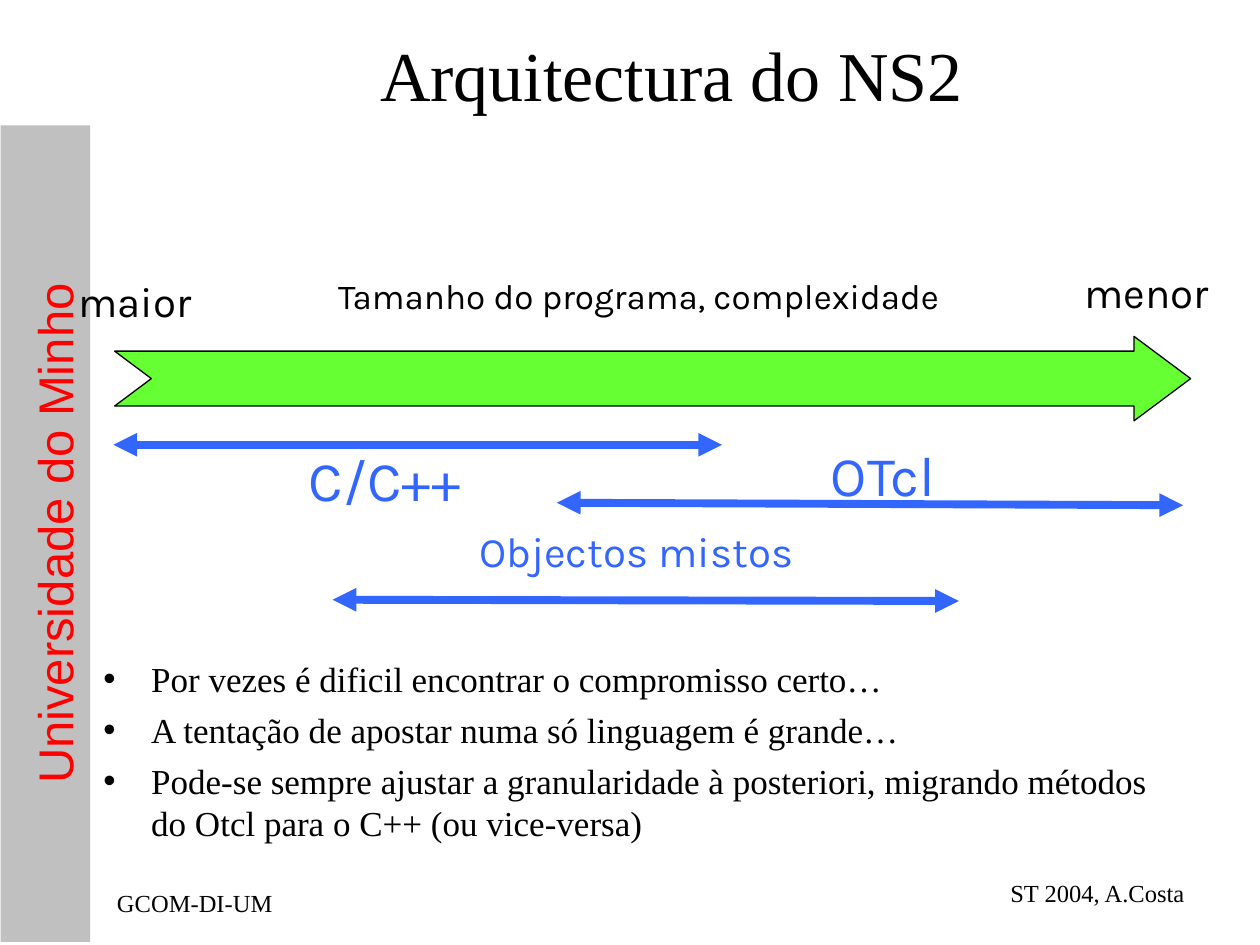
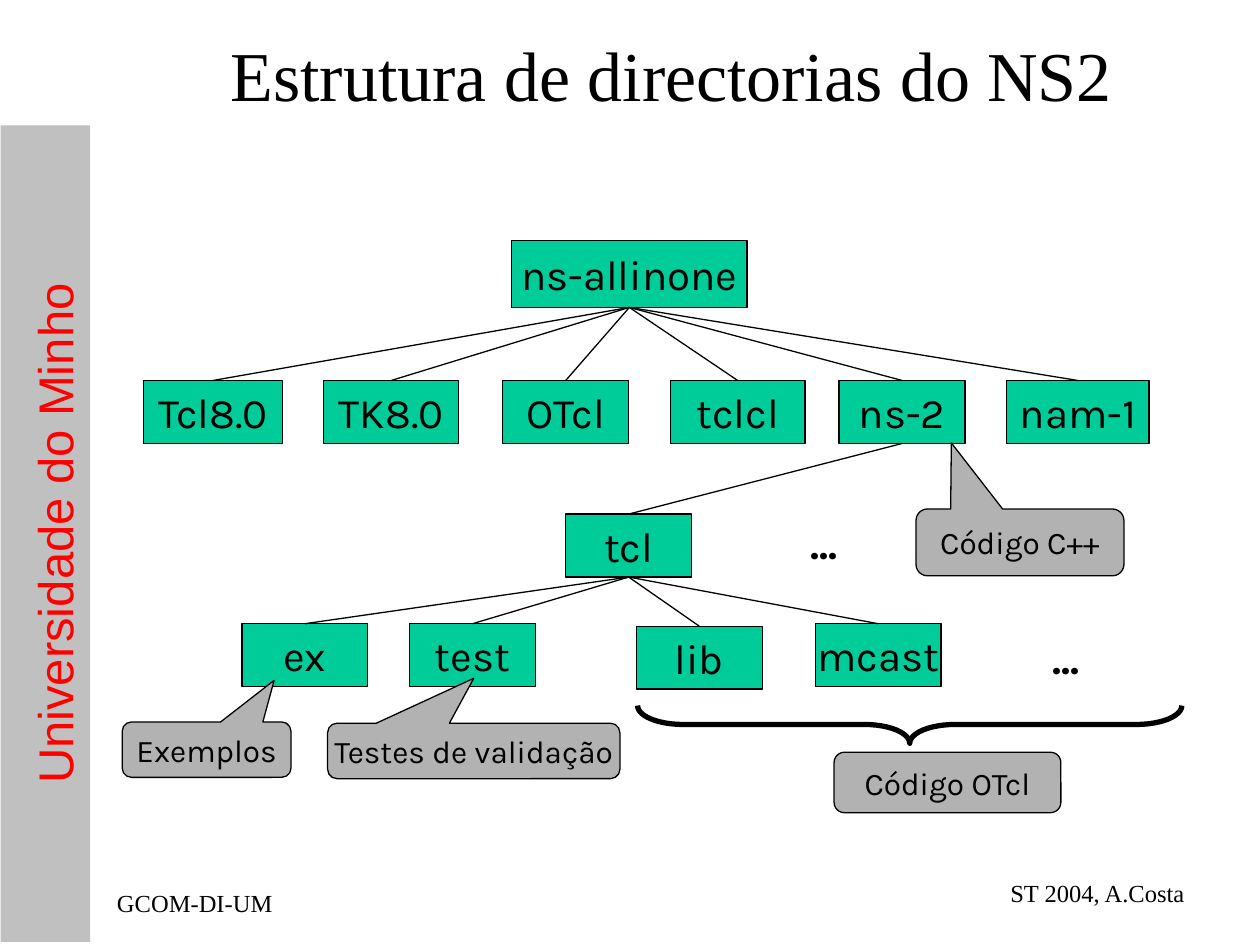
from dataclasses import dataclass

from lxml.etree import SubElement
from pptx import Presentation
from pptx.dml.color import RGBColor
from pptx.enum.shapes import MSO_CONNECTOR, MSO_SHAPE
from pptx.enum.text import MSO_ANCHOR, MSO_AUTO_SIZE, PP_ALIGN
from pptx.oxml.ns import qn
from pptx.util import Inches, Pt

SLIDE_WIDTH, SLIDE_HEIGHT = Inches(10), Inches(7.5)
COLUMNS, ROWS = 100, 75
BOTTOM, TOP = 2, 0  # connection sites of a rectangle


@dataclass(frozen=True)
class Theme:
    ink: str = "000000"
    band: str = "C0C0C0"
    band_text: str = "FF0000"
    scale: str = "66FF33"
    range: str = "3366FF"
    directory: str = "00CC99"
    note: str = "B2B2B2"
    serif: str = "Times New Roman"
    sans: str = "Arial"
    diagram: str = "Karla"
    title_size: int = 40
    range_size: int = 32
    band_size: int = 28
    label_size: int = 24
    body_size: int = 20
    note_size: int = 18
    footer_size: int = 14
    thin: float = 0.75
    brace: float = 3
    thick: float = 4.5


THEME = Theme()


def column(count):
    return round(SLIDE_WIDTH * count / COLUMNS)


def row(count):
    return round(SLIDE_HEIGHT * count / ROWS)


def cell(left, top, width, height):
    """Turn a box in columns and rows into slide lengths."""
    return column(left), row(top), column(width), row(height)


def place(shape, box):
    shape.left, shape.top, shape.width, shape.height = cell(*box)


def write(paragraph, text, size, font=THEME.diagram, color=THEME.ink,
          align=PP_ALIGN.CENTER, bold=False):
    paragraph.alignment = align
    run = paragraph.add_run()
    run.text = text
    run.font.name = font
    run.font.size = Pt(size)
    run.font.bold = bold
    run.font.color.rgb = RGBColor.from_string(color)


def add_label(slide, text, box, size, wrap=False, anchor=MSO_ANCHOR.TOP, **style):
    label = slide.shapes.add_textbox(*cell(*box))
    label.text_frame.word_wrap = wrap
    label.text_frame.vertical_anchor = anchor
    write(label.text_frame.paragraphs[0], text, size, **style)
    return label


def add_figure(slide, preset, box, fill=None, line_width=THEME.thin, adjust=()):
    """Add a preset shape with a black outline and no shadow."""
    figure = slide.shapes.add_shape(preset, *cell(*box))
    figure.shadow.inherit = False
    if fill:
        figure.fill.solid()
        figure.fill.fore_color.rgb = RGBColor.from_string(fill)
    else:
        figure.fill.background()
    figure.line.color.rgb = RGBColor.from_string(THEME.ink)
    figure.line.width = Pt(line_width)
    for index, value in enumerate(adjust):
        figure.adjustments[index] = value
    return figure


def add_caption(figure, text, size):
    figure.text_frame.word_wrap = False
    figure.text_frame.vertical_anchor = MSO_ANCHOR.MIDDLE
    write(figure.text_frame.paragraphs[0], text, size)


def add_directory(slide, name, left, top, width=10, height=5):
    directory = add_figure(slide, MSO_SHAPE.RECTANGLE, (left, top, width, height),
                           THEME.directory)
    add_caption(directory, name, THEME.label_size)
    return directory


def add_note(slide, text, box, pointer=None):
    """Add a rounded note, with a tail when a pointer position is given."""
    preset = MSO_SHAPE.ROUNDED_RECTANGULAR_CALLOUT if pointer else MSO_SHAPE.ROUNDED_RECTANGLE
    note = add_figure(slide, preset, box, THEME.note, adjust=(*(pointer or ()), 0.17))
    add_caption(note, text, THEME.note_size)


def add_line(slide, start=(0, 0), end=(0, 0), color=THEME.ink, width=THEME.thin):
    line = slide.shapes.add_connector(
        MSO_CONNECTOR.STRAIGHT, column(start[0]), row(start[1]), column(end[0]), row(end[1]))
    line.line.color.rgb = RGBColor.from_string(color)
    line.line.width = Pt(width)
    SubElement(line.element.spPr, qn("a:effectLst"))
    return line


def add_range(slide, start, end):
    """Add a thick line with an arrowhead at both ends."""
    span = add_line(slide, start, end, THEME.range, THEME.thick)
    outline = span.element.spPr.find(qn("a:ln"))
    for tip in ("a:headEnd", "a:tailEnd"):
        SubElement(outline, qn(tip), type="triangle")


def join(slide, parent, child):
    branch = add_line(slide)
    branch.begin_connect(parent, BOTTOM)
    branch.end_connect(child, TOP)


def set_title(slide, text):
    title = slide.shapes.title
    place(title, (8.3, 1.7, 90, 8.3))
    title.text_frame.auto_size = MSO_AUTO_SIZE.NONE
    title.text_frame.vertical_anchor = MSO_ANCHOR.MIDDLE
    write(title.text_frame.paragraphs[0], text, THEME.title_size, THEME.serif)


def set_bullets(slide, items, box):
    body = slide.placeholders[1]
    place(body, box)
    frame = body.text_frame
    frame.auto_size = MSO_AUTO_SIZE.NONE
    frame.vertical_anchor = MSO_ANCHOR.TOP
    for index, item in enumerate(items):
        paragraph = frame.add_paragraph() if index else frame.paragraphs[0]
        paragraph.space_before = Pt(5 if index else 0)
        properties = paragraph._p.get_or_add_pPr()
        properties.set("marL", str(Inches(0.38)))
        properties.set("indent", str(-Inches(0.38)))
        SubElement(properties, qn("a:buChar"), char="•")
        write(paragraph, item, THEME.body_size, THEME.serif, align=PP_ALIGN.LEFT)


def share_band_and_footers(presentation, slide):
    """Draw the side band and the footers, then move them to the slide master."""
    band = add_figure(slide, MSO_SHAPE.RECTANGLE, (-28.8, 38.8, 64.8, 7.1), THEME.band)
    band.line.fill.background()
    band.rotation = 270
    band.text_frame.vertical_anchor = MSO_ANCHOR.TOP
    university = band.text_frame.paragraphs[0]
    university.line_spacing = 1.3
    write(university, "Universidade do Minho", THEME.band_size, THEME.sans, THEME.band_text)

    footers = [
        add_label(slide, text, (left, top, 20.8, 3.3), THEME.footer_size, wrap=True,
                  anchor=MSO_ANCHOR.MIDDLE, font=THEME.serif, align=align)
        for text, left, top, align in (
            ("GCOM-DI-UM", 8.3, 70, PP_ALIGN.LEFT),
            ("ST 2004, A.Costa", 74.2, 69.2, PP_ALIGN.RIGHT))]
    for number, part in enumerate([band, *footers], start=20):
        part.element.nvSpPr.cNvPr.set("id", str(number))
        presentation.slide_master.shapes.element.append(part.element)


def build_architecture(slide):
    set_title(slide, "Arquitectura do NS2")
    add_figure(slide, MSO_SHAPE.NOTCHED_RIGHT_ARROW, (9.1, 26.7, 85.4, 6.7),
               THEME.scale, adjust=(0.65, 0.67))
    add_label(slide, "Tamanho do programa, complexidade", (24.6, 21.3, 52.2, 4.4),
              THEME.body_size)
    add_label(slide, "maior", (5.1, 21.4, 11.2, 5), THEME.label_size)
    add_label(slide, "menor", (84.8, 20.7, 12.4, 5), THEME.label_size)

    for start, end in (((44.2, 39.9), (93.9, 40.1)),
                       ((9, 35.3), (57.3, 35.3)),
                       ((26.4, 47.6), (76.1, 47.7))):
        add_range(slide, start, end)
    for language, box, size in (
            ("C/C++", (21.2, 34.9, 18.7, 6.4), THEME.range_size),
            ("OTcl", (64.5, 34.5, 11.2, 6.4), THEME.range_size),
            ("Objectos mistos", (36.3, 41.2, 28.4, 5), THEME.label_size)):
        add_label(slide, language, box, size, color=THEME.range)

    set_bullets(slide, (
        "Por vezes é dificil encontrar o compromisso certo…",
        "A tentação de apostar numa só linguagem é grande…",
        "Pode-se sempre ajustar a granularidade à posteriori, migrando métodos "
        "do Otcl para o C++ (ou vice-versa)"), (7.2, 51.7, 87.2, 19.1))


def build_directories(slide):
    set_title(slide, "Estrutura de directorias do NS2")
    root = add_directory(slide, "ns-allinone", 40.6, 19.1, 18.7, 5.3)
    packages = {
        name: add_directory(slide, name, left, 30.2, width)
        for name, left, width in (
            ("Tcl8.0", 11.4, 11), ("TK8.0", 25.7, 10.7), ("OTcl", 39.9, 10),
            ("tclcl", 53.2, 10.7), ("ns-2", 66.6, 10), ("nam-1", 79.9, 11.3))}
    tcl = add_directory(slide, "tcl", 44.9, 40.8)
    tcl_folders = [
        add_directory(slide, name, left, top)
        for name, left, top in (("ex", 19.2, 49.5), ("test", 32.5, 49.5),
                                ("lib", 50.5, 49.7), ("mcast", 64.7, 49.5))]

    for parent, children in ((root, packages.values()), (packages["ns-2"], [tcl]),
                             (tcl, tcl_folders)):
        for child in children:
            join(slide, parent, child)
    for left, top in ((63, 40.6), (82.2, 49.7)):
        add_label(slide, "...", (left, top, 4.8, 5), THEME.label_size, bold=True)

    add_note(slide, "Exemplos", (9.7, 57.3, 13.4, 4.4), (0.4, -1.25))
    add_note(slide, "Testes de validação", (26, 57.4, 23.2, 4.4), (0, -1.31))
    add_note(slide, "Código C++", (72.7, 40.4, 16.5, 5.3), (-0.33, -1.49))
    brace = add_figure(slide, MSO_SHAPE.RIGHT_BRACE, (70.7, 35.9, 3, 43.2),
                       line_width=THEME.brace, adjust=(1.2, 0.5))
    brace.rotation = 90
    add_note(slide, "Código OTcl", (66.2, 59.7, 18, 4.8))


def main():
    presentation = Presentation()
    presentation.slide_width, presentation.slide_height = SLIDE_WIDTH, SLIDE_HEIGHT
    title_and_list, title_only = (presentation.slide_layouts[index] for index in (1, 5))
    architecture = presentation.slides.add_slide(title_and_list)
    share_band_and_footers(presentation, architecture)
    build_architecture(architecture)
    build_directories(presentation.slides.add_slide(title_only))
    presentation.save("out.pptx")


if __name__ == "__main__":
    main()
